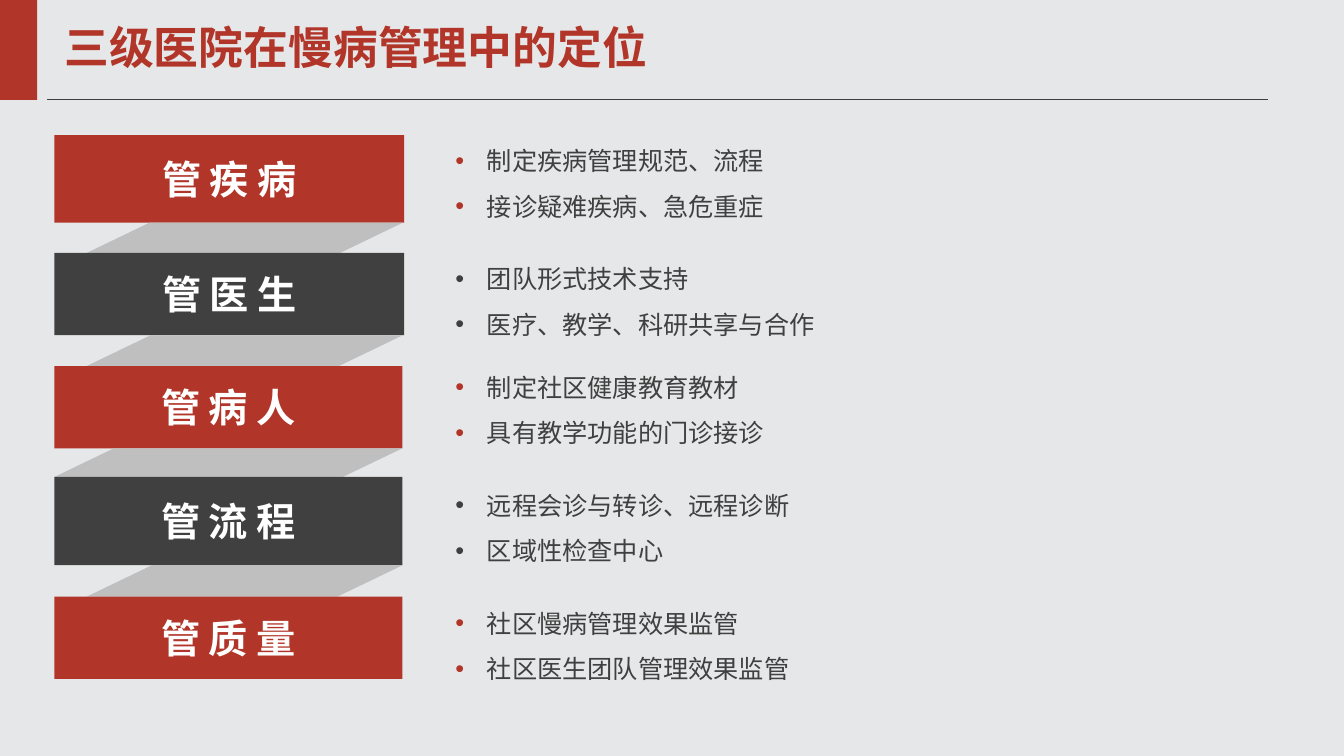
from dataclasses import dataclass

from lxml.etree import SubElement
from pptx import Presentation
from pptx.dml.color import RGBColor
from pptx.enum.shapes import MSO_CONNECTOR, MSO_SHAPE
from pptx.enum.text import MSO_ANCHOR, PP_ALIGN
from pptx.oxml.ns import qn
from pptx.util import Pt

TITLE = "三级医院在慢病管理中的定位"

# label, block top, block height, block width, top of its duties, duties
ROLES = [
    ("管疾病", 96.5, 62.6, 249.8, 89.3, ["制定疾病管理规范、流程", "接诊疑难疾病、急危重症"]),
    ("管医生", 180.7, 58.8, 249.8, 173.5, ["团队形式技术支持", "医疗、教学、科研共享与合作"]),
    ("管病人", 261.5, 58.8, 248.6, 251.3, ["制定社区健康教育教材", "具有教学功能的门诊接诊"]),
    ("管流程", 340.7, 63, 248.6, 335.5, ["远程会诊与转诊、远程诊断", "区域性检查中心"]),
    ("管质量", 426.2, 58.8, 248.6, 419.8, ["社区慢病管理效果监管", "社区医生团队管理效果监管"]),
]
# left and width of the ribbon below each block but the last
RIBBONS = [(61.9, 225.8), (61.9, 225.8), (38.9, 248.4), (61.9, 225.8)]
RIBBON_SLANT = 2.076
LEFT = 38.9
DUTIES_LEFT, DUTIES_WIDTH, DUTIES_HEIGHT = 318.2, 587.5, 72.4
DUTIES_PITCH, DUTIES_INDENT = 32.6, 22.5


@dataclass(frozen=True)
class Theme:
    font: str = "Noto Sans CJK SC"
    red: str = "B13528"
    dark: str = "404040"
    ribbon: str = "BFBFBF"
    backdrop: str = "E6E7E8"
    white: str = "FFFFFF"
    title_size: int = 32
    label_size: int = 28
    duty_size: int = 18


THEME = Theme()


def rgb(code):
    return RGBColor.from_string(code)


def add_block(page, kind, left, top, width, height, color):
    block = page.shapes.add_shape(kind, Pt(left), Pt(top), Pt(width), Pt(height))
    block.shadow.inherit = False
    block.fill.solid()
    block.fill.fore_color.rgb = rgb(color)
    block.line.fill.background()
    return block


def add_span(para, text, size, color, bold=False, spacing=0):
    """Add one run; spacing is the extra gap after each character, in points."""
    span = para.add_run()
    span.text = text
    font = span.font
    font.name = THEME.font
    font.size = Pt(size)
    font.bold = bold
    font.color.rgb = rgb(color)
    properties = span._r.get_or_add_rPr()
    SubElement(properties, qn("a:ea")).set("typeface", THEME.font)
    if spacing:
        properties.set("spc", str(spacing * 100))


def add_text_box(page, left, top, width, height):
    box = page.shapes.add_textbox(Pt(left), Pt(top), Pt(width), Pt(height))
    box.text_frame.word_wrap = True
    return box.text_frame


def set_bullet(para, color):
    properties = para._p.get_or_add_pPr()
    properties.set("marL", str(Pt(DUTIES_INDENT)))
    properties.set("indent", str(-Pt(DUTIES_INDENT)))
    tint = SubElement(properties, qn("a:buClr"))
    SubElement(tint, qn("a:srgbClr")).set("val", color)
    SubElement(properties, qn("a:buFont")).set("typeface", "Arial")
    SubElement(properties, qn("a:buChar")).set("char", "•")


def add_header(page):
    rule = page.shapes.add_connector(MSO_CONNECTOR.STRAIGHT, Pt(33.8), Pt(71.3), Pt(905.8), Pt(71.3))
    rule.line.color.rgb = rgb(THEME.dark)
    rule.line.width = Pt(0.5)
    SubElement(rule._element.spPr, qn("a:effectLst"))
    add_block(page, MSO_SHAPE.RECTANGLE, 0, 0, 26.6, 71.3, THEME.red)
    frame = add_text_box(page, LEFT, 11.5, 866.9, 49)
    frame.vertical_anchor = MSO_ANCHOR.MIDDLE
    para = frame.paragraphs[0]
    para.line_spacing = 0.9
    add_span(para, TITLE, THEME.title_size, THEME.red, bold=True)


def add_label(page, label, top, height, width, color):
    block = add_block(page, MSO_SHAPE.RECTANGLE, LEFT, top, width, height, color)
    block.text_frame.vertical_anchor = MSO_ANCHOR.MIDDLE
    para = block.text_frame.paragraphs[0]
    para.alignment = PP_ALIGN.CENTER
    add_span(para, label, THEME.label_size, THEME.white, bold=True, spacing=6)


def add_duties(page, top, duties, color):
    frame = add_text_box(page, DUTIES_LEFT, top, DUTIES_WIDTH, DUTIES_HEIGHT)
    for index, duty in enumerate(duties):
        para = frame.add_paragraph() if index else frame.paragraphs[0]
        set_bullet(para, color)
        para.line_spacing = Pt(DUTIES_PITCH)
        add_span(para, duty, THEME.duty_size, THEME.dark)


def main():
    deck = Presentation()
    deck.slide_width, deck.slide_height = Pt(960), Pt(540)
    page = deck.slides.add_slide(deck.slide_layouts[6])
    page.background.fill.solid()
    page.background.fill.fore_color.rgb = rgb(THEME.backdrop)
    add_header(page)

    for index, (label, top, height, width, duties_top, duties) in enumerate(ROLES):
        color = THEME.dark if index % 2 else THEME.red
        add_label(page, label, top, height, width, color)
        add_duties(page, duties_top, duties, color)
        if index < len(RIBBONS):
            left, ribbon_width = RIBBONS[index]
            bottom = top + height
            gap = ROLES[index + 1][1] - bottom
            ribbon = add_block(page, MSO_SHAPE.PARALLELOGRAM, left, bottom, ribbon_width, gap, THEME.ribbon)
            ribbon.adjustments[0] = RIBBON_SLANT

    deck.save("out.pptx")


if __name__ == "__main__":
    main()
